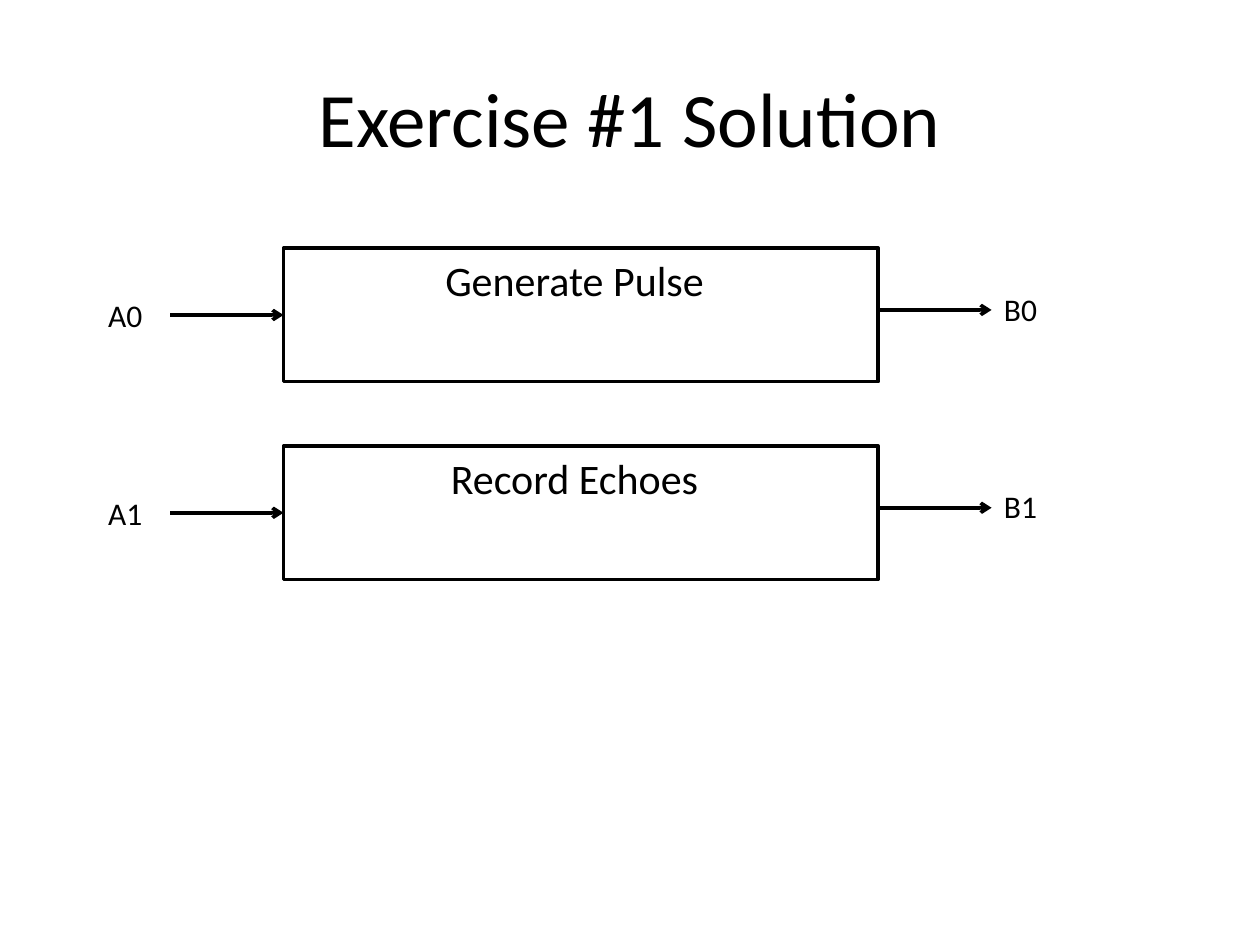
from dataclasses import dataclass

from lxml import etree
from pptx import Presentation
from pptx.dml.color import RGBColor
from pptx.enum.shapes import MSO_CONNECTOR, MSO_SHAPE
from pptx.enum.text import MSO_ANCHOR, PP_ALIGN
from pptx.oxml.ns import qn
from pptx.shapes.autoshape import Shape
from pptx.shapes.connector import Connector
from pptx.slide import Slide
from pptx.util import Inches, Pt

RECTANGLE = MSO_SHAPE.RECTANGLE
STRAIGHT = MSO_CONNECTOR.STRAIGHT
LEFT, CENTER = PP_ALIGN.LEFT, PP_ALIGN.CENTER
TOP, MIDDLE = MSO_ANCHOR.TOP, MSO_ANCHOR.MIDDLE
LEFT_SIDE = 1


@dataclass(frozen=True)
class Theme:
    ink: RGBColor = RGBColor(0, 0, 0)
    font: str = "Calibri"
    title_size: int = 44
    stage_size: int = 24
    port_size: int = 18
    line_width: int = 2


@dataclass(frozen=True)
class Grid:
    """Columns and rows of the diagram, in inches."""
    width: float = 10
    height: float = 7.5
    first_row: float = 1.97
    row_pitch: float = 1.57
    input_label: float = 0.76
    input_start: float = 1.35
    stage_left: float = 2.25
    stage_width: float = 4.72
    stage_height: float = 1.06
    name_left: float = 2.97
    name_width: float = 3.18
    name_height: float = 0.5
    arrow_length: float = 0.9
    port_width: float = 0.96
    port_height: float = 0.4
    input_drop: float = 0.33
    output_drop: float = 0.28
    output_arrow_drop: float = 0.49


@dataclass(frozen=True)
class Stage:
    name: str
    source: str
    target: str


THEME = Theme()
GRID = Grid()
STAGES = (
    Stage("Generate Pulse", "A0", "B0"),
    Stage("Record Echoes", "A1", "B1"),
)


def add_label(slide: Slide, text: str, left: float, top: float, width: float,
              height: float, size: int, align=LEFT, anchor=TOP) -> None:
    label = slide.shapes.add_textbox(*map(Inches, (left, top, width, height)))
    frame = label.text_frame
    frame.word_wrap = True
    frame.vertical_anchor = anchor
    paragraph = frame.paragraphs[0]
    paragraph.text = text
    paragraph.alignment = align
    paragraph.font.name = THEME.font
    paragraph.font.size = Pt(size)
    paragraph.font.color.rgb = THEME.ink


def add_stage_box(slide: Slide, top: float) -> Shape:
    box = slide.shapes.add_shape(RECTANGLE, *map(
        Inches, (GRID.stage_left, top, GRID.stage_width, GRID.stage_height)))
    box.shadow.inherit = False
    box.fill.background()
    box.line.color.rgb = THEME.ink
    box.line.width = Pt(THEME.line_width)
    return box


def add_arrow(slide: Slide, left: float, y: float) -> Connector:
    arrow = slide.shapes.add_connector(STRAIGHT, *map(
        Inches, (left, y, left + GRID.arrow_length, y)))
    arrow.line.color.rgb = THEME.ink
    arrow.line.width = Pt(THEME.line_width)
    etree.SubElement(arrow.line._get_or_add_ln(), qn("a:tailEnd"), type="arrow")
    etree.SubElement(arrow._element.spPr, qn("a:effectLst"))
    return arrow


def add_stage(slide: Slide, stage: Stage, row: int) -> None:
    top = GRID.first_row + row * GRID.row_pitch
    stage_right = GRID.stage_left + GRID.stage_width

    # Box with its name
    box = add_stage_box(slide, top)
    add_label(slide, stage.name, GRID.name_left, top, GRID.name_width,
              GRID.name_height, THEME.stage_size, CENTER)

    # Input and output arrows
    input_arrow = add_arrow(slide, GRID.input_start, top + GRID.stage_height / 2)
    input_arrow.end_connect(box, LEFT_SIDE)
    add_arrow(slide, stage_right, top + GRID.output_arrow_drop)

    # Port labels
    ports = (
        (stage.source, GRID.input_label, GRID.input_drop),
        (stage.target, stage_right + GRID.arrow_length, GRID.output_drop),
    )
    for port, left, drop in ports:
        add_label(slide, port, left, top + drop, GRID.port_width,
                  GRID.port_height, THEME.port_size)


def main() -> None:
    deck = Presentation()
    deck.slide_width = Inches(GRID.width)
    deck.slide_height = Inches(GRID.height)
    slide = deck.slides.add_slide(deck.slide_layouts[6])

    # Title
    add_label(slide, "Exercise #1 Solution", GRID.width * 0.05,
              GRID.height * 0.04, GRID.width * 0.9, 1.25,
              THEME.title_size, CENTER, MIDDLE)

    # Processing stages
    for row, stage in enumerate(STAGES):
        add_stage(slide, stage, row)

    deck.save("out.pptx")


if __name__ == "__main__":
    main()
